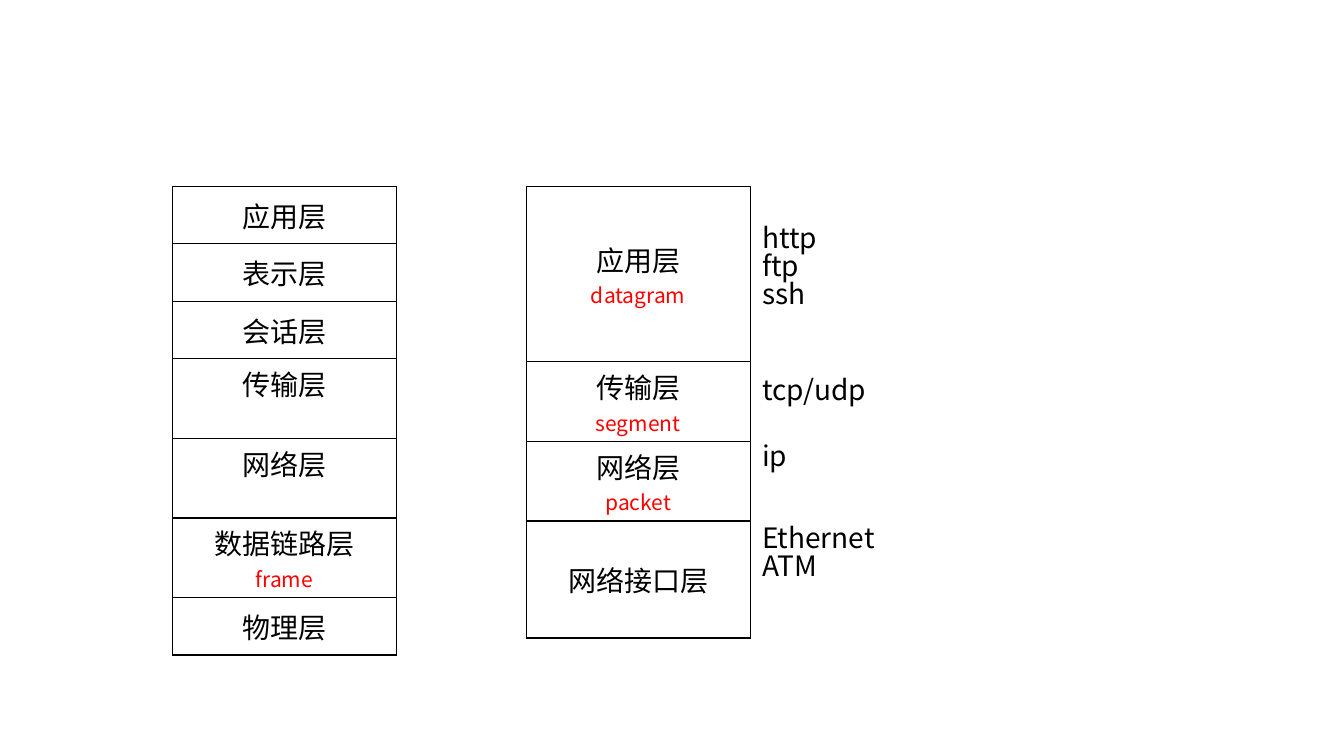
from dataclasses import dataclass

import pptx
import pptx.dml.color
import pptx.enum.text
import pptx.oxml
import pptx.oxml.ns
import pptx.util
from pptx.util import Inches


@dataclass(frozen=True)
class Theme:
    font: str = "Noto Sans CJK SC"
    ink: str = "000000"
    accent: str = "FF0000"
    layer_size: int = 20
    unit_size: int = 15
    border_width: int = 1
    protocol_spacing: float = 0.84


class Diagram:
    def __init__(self, slide, theme):
        self.slide = slide
        self.theme = theme

    def style(self, paragraph, size, color):
        font = paragraph.font
        font.name = self.theme.font
        font.size = pptx.util.Pt(size)
        font.color.rgb = pptx.dml.color.RGBColor.from_string(color)

    def border(self, cell):
        properties = cell._tc.get_or_add_tcPr()
        width = pptx.util.Pt(self.theme.border_width)
        for position, side in enumerate(("lnL", "lnR", "lnT", "lnB")):
            properties.insert(position, pptx.oxml.parse_xml(
                f'<a:{side} {pptx.oxml.ns.nsdecls("a")} w="{width}"><a:solidFill>'
                f'<a:srgbClr val="{self.theme.ink}"/></a:solidFill></a:{side}>'))

    def stack(self, left, top, width, layers):
        """Draw layers given as (name, data unit, height, space below text)."""
        total = sum(height for _, _, height, _ in layers)
        table = self.slide.shapes.add_table(
            len(layers), 1, Inches(left), Inches(top), Inches(width), Inches(total)).table
        table.first_row = table.horz_banding = False
        for row, (name, unit, height, below) in enumerate(layers):
            table.rows[row].height = Inches(height)
            cell = table.cell(row, 0)
            cell.fill.background()
            cell.vertical_anchor = pptx.enum.text.MSO_ANCHOR.MIDDLE
            cell.margin_left = cell.margin_right = Inches(0.08)
            cell.margin_top = Inches(0.04)
            cell.margin_bottom = Inches(0.04 + below)
            self.border(cell)
            frame = cell.text_frame
            frame.text = f"{name}\n{unit}" if unit else name
            styles = ((self.theme.layer_size, self.theme.ink),
                      (self.theme.unit_size, self.theme.accent))
            for paragraph, (size, color) in zip(frame.paragraphs, styles):
                paragraph.alignment = pptx.enum.text.PP_ALIGN.CENTER
                self.style(paragraph, size, color)

    def protocols(self, left, top, width, height, names):
        frame = self.slide.shapes.add_textbox(
            Inches(left), Inches(top), Inches(width), Inches(height)).text_frame
        frame.word_wrap = False
        frame.auto_size = pptx.enum.text.MSO_AUTO_SIZE.SHAPE_TO_FIT_TEXT
        frame.text = "\n".join(names)
        for paragraph in frame.paragraphs:
            paragraph.line_spacing = self.theme.protocol_spacing
            self.style(paragraph, self.theme.layer_size, self.theme.ink)


def main():
    presentation = pptx.Presentation()
    presentation.slide_width = Inches(13.33)
    presentation.slide_height = Inches(7.5)
    slide = presentation.slides.add_slide(presentation.slide_layouts[6])
    diagram = Diagram(slide, Theme())

    top, width = 1.85, 2.22
    single, double, unit_line = 0.57, 0.79, 0.3

    # Seven-layer model
    diagram.stack(1.71, top, width, [
        ("应用层", "", single, 0),
        ("表示层", "", single, 0),
        ("会话层", "", single, 0),
        ("传输层", "", double, unit_line),
        ("网络层", "", double, unit_line),
        ("数据链路层", "frame", double, 0),
        ("物理层", "", single, 0),
    ])

    # Four-layer model
    diagram.stack(5.22, top, width, [
        ("应用层", "datagram", 1.74, 0),
        ("传输层", "segment", double, 0),
        ("网络层", "packet", double, 0),
        ("网络接口层", "", 1.16, 0),
    ])

    # Protocols of each layer
    diagram.protocols(7.46, 2.19, 0.76, 1.11, ["http", "ftp", "ssh"])
    diagram.protocols(7.46, 3.7, 1.25, 0.44, ["tcp/udp"])
    diagram.protocols(7.46, 4.36, 0.45, 0.44, ["ip"])
    diagram.protocols(7.46, 5.17, 1.34, 0.77, ["Ethernet", "ATM"])

    presentation.save("out.pptx")


if __name__ == "__main__":
    main()
